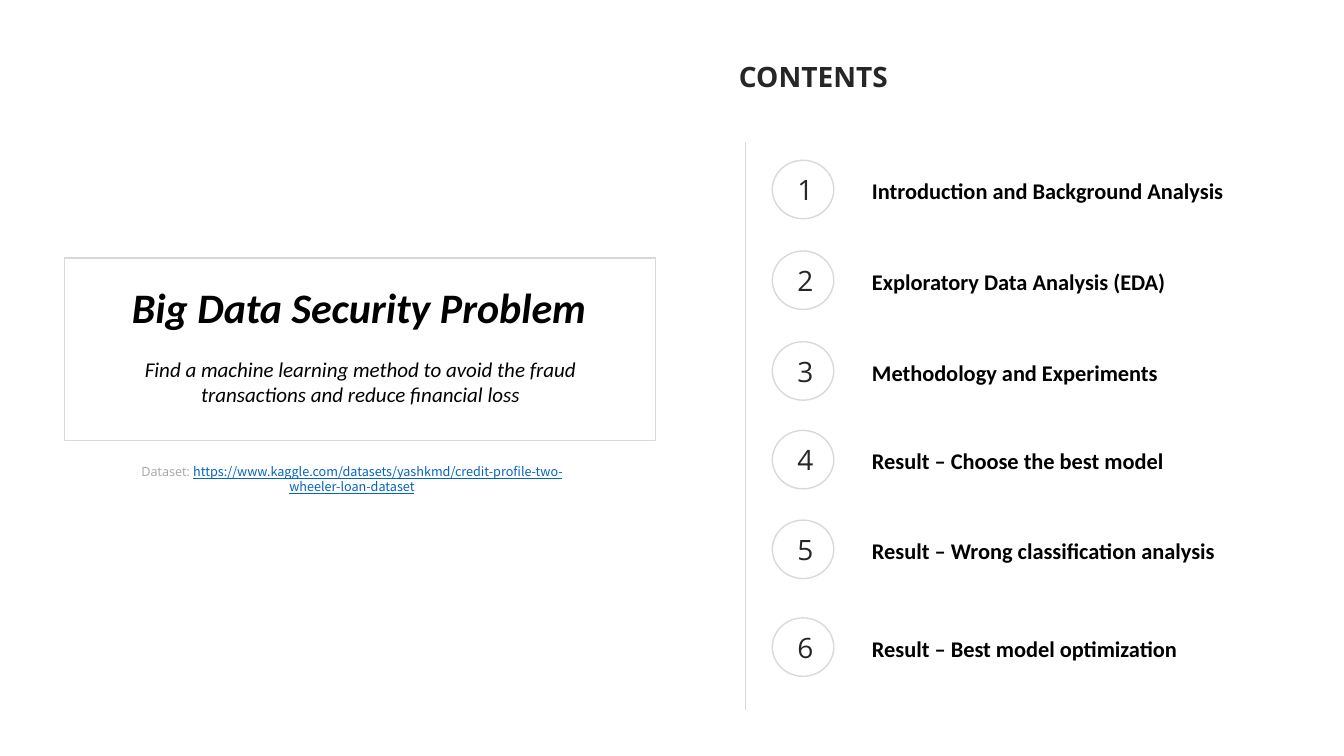
from dataclasses import dataclass

from lxml.etree import SubElement
from pptx import Presentation
from pptx.dml.color import RGBColor
from pptx.enum.shapes import MSO_CONNECTOR as Connector, MSO_SHAPE as Shape
from pptx.enum.text import MSO_ANCHOR as Anchor, MSO_AUTO_SIZE as AutoSize, PP_ALIGN as Align
from pptx.oxml.ns import qn
from pptx.util import Inches, Pt


@dataclass(frozen=True)
class Theme:
    """Colours, fonts and type sizes of the slide."""
    black: str = "000000"
    dark: str = "262626"
    grey: str = "A6A6A6"
    rule: str = "D9D9D9"
    white: str = "FFFFFF"
    link: str = "0563C1"
    body_font: str = "Calibri"
    accent_font: str = "Open Sans"
    link_font: str = "Noto Sans CJK SC"
    title_size: float = 30
    heading_size: float = 20
    topic_size: float = 16
    subtitle_size: float = 15
    source_size: float = 9


THEME = Theme()
DATASET_URL = "https://www.kaggle.com/datasets/yashkmd/credit-profile-two-wheeler-loan-dataset"
TOPICS = [
    (0.18, "Introduction and Background Analysis"),
    (1.08, "Exploratory Data Analysis (EDA)"),
    (1.98, "Methodology and Experiments"),
    (2.86, "Result – Choose the best model"),
    (3.75, "Result – Wrong classification analysis"),
    (4.72, "Result – Best model optimization"),
]


def style_run(span, size, font, colour, bold=False, italic=False, underline=False):
    """Give a run its type style."""
    span.font.size = Pt(size)
    span.font.name = font
    span.font.color.rgb = RGBColor.from_string(colour)
    span.font.bold = bold
    span.font.italic = italic
    span.font.underline = underline


def add_text(shapes, box, text, size, font, colour, align=Align.LEFT, anchor=Anchor.TOP,
             wrap=True, **style):
    """Place a one-paragraph text box and return its paragraph."""
    frame = shapes.add_textbox(*map(Inches, box)).text_frame
    frame.word_wrap = wrap
    frame.auto_size = AutoSize.SHAPE_TO_FIT_TEXT
    frame.vertical_anchor = anchor
    frame.text = text
    para = frame.paragraphs[0]
    para.alignment = align
    style_run(para.runs[0], size, font, colour, **style)
    return para


def add_outlined(shapes, kind, box, fill=None):
    """Place a preset shape with a thin grey outline."""
    shape = shapes.add_shape(kind, *map(Inches, box))
    shape.shadow.inherit = False
    shape.line.color.rgb = RGBColor.from_string(THEME.rule)
    shape.line.width = Pt(1)
    if fill:
        shape.fill.solid()
        shape.fill.fore_color.rgb = RGBColor.from_string(fill)
    else:
        shape.fill.background()


def add_title_panel(page, box):
    """Draw the framed title with the dataset source under it."""
    left, top, width, height = box
    shapes = page.shapes
    add_outlined(shapes, Shape.RECTANGLE, box)
    add_text(shapes, (left + 0.57, top + 0.18, 4.76, 0.61), "Big Data Security Problem",
             THEME.title_size, THEME.body_font, THEME.black, wrap=False, bold=True, italic=True)
    add_text(shapes, (left + 0.29, top + 0.93, 5.29, 0.61),
             "Find a machine learning method to avoid the fraud transactions and reduce financial loss",
             THEME.subtitle_size, THEME.body_font, THEME.black, align=Align.CENTER, italic=True)
    para = add_text(shapes, (left + 0.48, top + height + 0.18, 4.74, 0.56), "Dataset: ",
                    THEME.source_size, THEME.accent_font, THEME.grey, align=Align.CENTER)
    span = para.add_run()
    span.text = DATASET_URL
    style_run(span, THEME.source_size, THEME.link_font, THEME.link, underline=True)


def add_topic(page, left, top, number, topic):
    """Draw one numbered circle and its topic."""
    add_text(page.shapes, (left + 0.89, top + 0.12, 3.91, 0.37), topic,
             THEME.topic_size, THEME.body_font, THEME.black, bold=True)
    badge = page.shapes.add_group_shape().shapes
    add_outlined(badge, Shape.OVAL, (left, top, 0.61, 0.58), THEME.white)
    add_text(badge, (left + 0.15, top + 0.07, 0.32, 0.44), str(number),
             THEME.heading_size, THEME.accent_font, THEME.dark, anchor=Anchor.MIDDLE)


def add_contents(page, box):
    """Draw the heading, the vertical rule and the numbered topics."""
    left, top, _, height = box
    rule = page.shapes.add_connector(Connector.STRAIGHT, Inches(left), Inches(top),
                                     Inches(left), Inches(top + height))
    rule.line.color.rgb = RGBColor.from_string(THEME.rule)
    rule.line.width = Pt(0.75)
    SubElement(rule._element.spPr, qn("a:effectLst"))
    add_text(page.shapes, (left - 0.16, top - 0.87, 3.29, 0.44), "CONTENTS",
             THEME.heading_size, THEME.accent_font, THEME.dark, bold=True)
    for number, (offset, topic) in enumerate(TOPICS, start=1):
        add_topic(page, left + 0.27, top + offset, number, topic)


def main():
    """Build and save the one-slide deck."""
    deck = Presentation()
    deck.slide_width, deck.slide_height = Inches(13.33), Inches(7.5)
    page = deck.slides.add_slide(deck.slide_layouts[6])
    add_title_panel(page, (0.64, 2.56, 5.86, 1.81))
    add_contents(page, (7.39, 1.41, 5.07, 5.63))
    deck.save("out.pptx")


if __name__ == "__main__":
    main()
